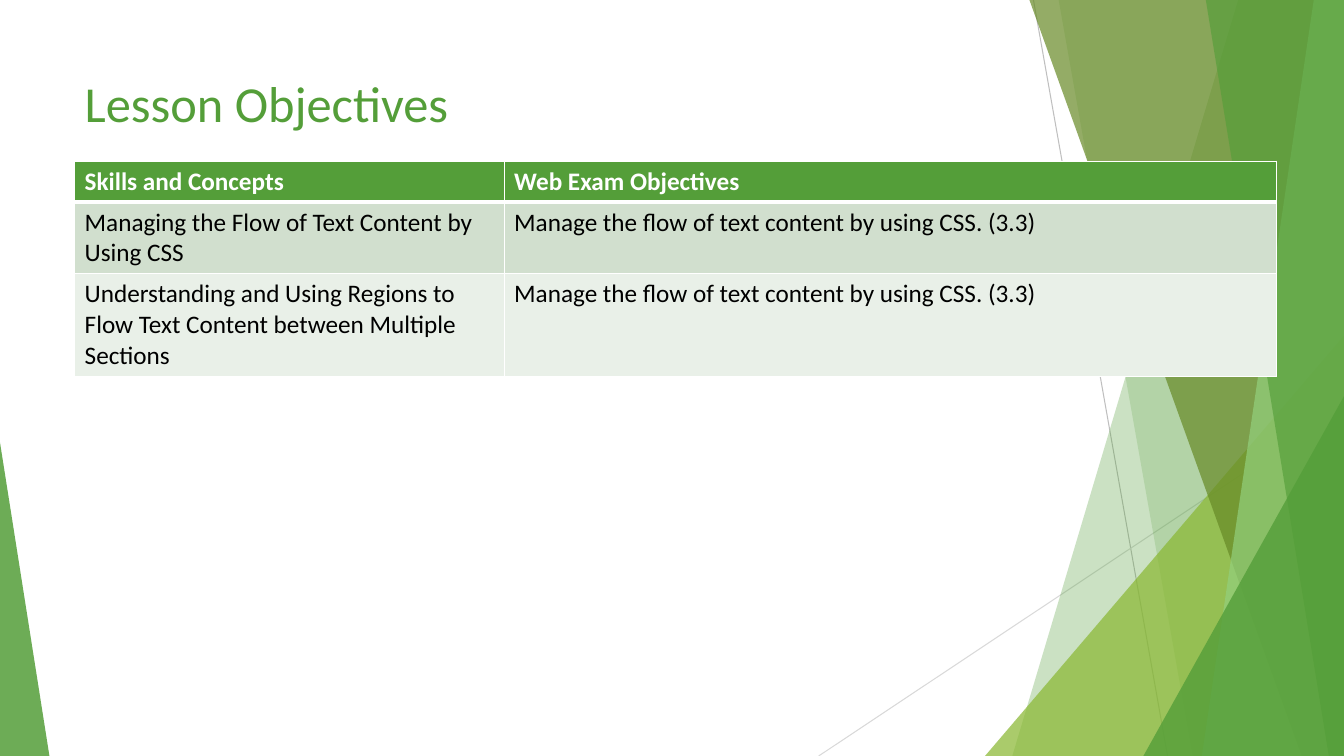
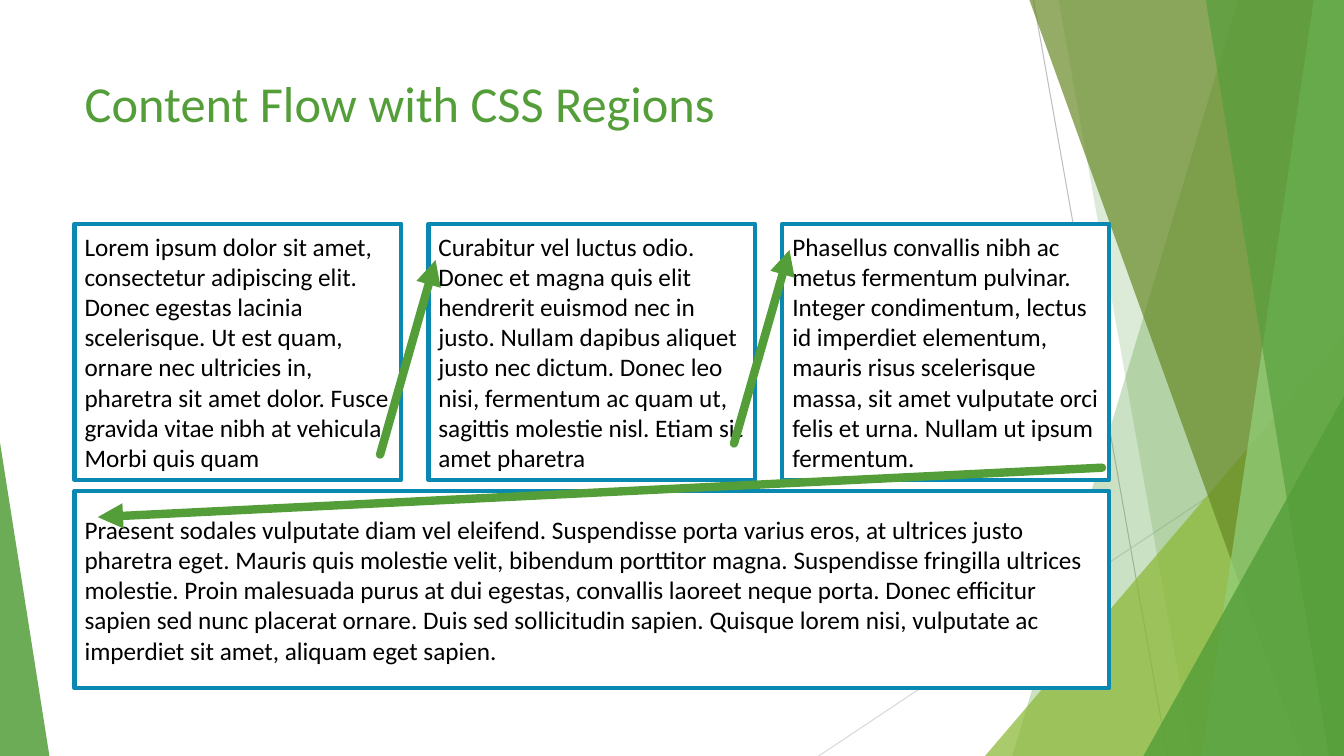
from dataclasses import dataclass

from lxml.etree import SubElement
from pptx import Presentation
from pptx.dml.color import RGBColor
from pptx.enum.shapes import MSO_CONNECTOR, MSO_SHAPE
from pptx.enum.text import MSO_ANCHOR, PP_ALIGN
from pptx.oxml import parse_xml
from pptx.oxml.ns import nsdecls, qn
from pptx.util import Inches, Pt


@dataclass(frozen=True)
class Theme:
    """Colours, type sizes and shared measures of the presentation."""

    font: str = "Calibri"
    title_size: int = 36
    body_size: int = 18
    green: str = "549E39"
    lime: str = "8AB833"
    olive: str = "678A26"
    light_green: str = "93D07D"
    blue: str = "0989B1"
    white: str = "FFFFFF"
    black: str = "000000"
    row_tints: tuple = ("D1DFCE", "E9F0E8")
    hairlines: tuple = ("BFBFBF", "D9D9D9")
    width: float = 13.33
    height: float = 7.5
    left: float = 0.74


THEME = Theme()

OBJECTIVES = [
    ("Skills and Concepts", "Web Exam Objectives"),
    ("Managing the Flow of Text Content by Using CSS",
     "Manage the flow of text content by using CSS. (3.3)"),
    ("Understanding and Using Regions to Flow Text Content between Multiple Sections",
     "Manage the flow of text content by using CSS. (3.3)"),
]

COLUMN_TEXTS = [
    "Lorem ipsum dolor sit amet, consectetur adipiscing elit. Donec egestas lacinia "
    "scelerisque. Ut est quam, ornare nec ultricies in, pharetra sit amet dolor. Fusce "
    "gravida vitae nibh at vehicula. Morbi quis quam",
    "Curabitur vel luctus odio. Donec et magna quis elit hendrerit euismod nec in justo. "
    "Nullam dapibus aliquet justo nec dictum. Donec leo nisi, fermentum ac quam ut, "
    "sagittis molestie nisl. Etiam sit amet pharetra",
    "Phasellus convallis nibh ac metus fermentum pulvinar. Integer condimentum, lectus id "
    "imperdiet elementum, mauris risus scelerisque massa, sit amet vputate orci felis et "
    "urna. Nullam ut ipsum fermentum.".replace("vputate", "vulputate"),
]

WIDE_TEXT = (
    "Praesent sodales vulputate diam vel eleifend. Suspendisse porta varius eros, at "
    "ultrices justo pharetra eget. Mauris quis molestie velit, bibendum porttitor magna. "
    "Suspendisse fringilla ultrices molestie. Proin malesuada purus at dui egestas, "
    "convallis laoreet neque porta. Donec efficitur sapien sed nunc placerat ornare. Duis "
    "sed sollicitudin sapien. Quisque lorem nisi, vulputate ac imperdiet sit amet, aliquam "
    "eget sapien."
)


def color(value):
    """Turn a hex string into a colour."""
    return RGBColor.from_string(value)


def write(text_frame, text, size, text_color, bold=False):
    """Write one left-aligned run into a text frame."""
    text_frame.word_wrap = True
    paragraph = text_frame.paragraphs[0]
    paragraph.alignment = PP_ALIGN.LEFT
    run = paragraph.add_run()
    run.text = text
    run.font.name = THEME.font
    run.font.size = Pt(size)
    run.font.bold = bold
    run.font.color.rgb = color(text_color)


def fill_translucent(shape, fill_color, opacity):
    """Fill a shape at an opacity in percent, without outline or shadow."""
    shape.shadow.inherit = False
    shape.line.fill.background()
    shape.fill.solid()
    shape.fill.fore_color.rgb = color(fill_color)
    fill = shape.element.spPr.find(qn("a:solidFill"))
    SubElement(fill[0], qn("a:alpha"), val=str(opacity * 1000))


def add_line(shapes, start, end, line_color, weight):
    """Add a straight line without shadow."""
    points = [Inches(value) for value in (*start, *end)]
    line = shapes.add_connector(MSO_CONNECTOR.STRAIGHT, *points)
    line.line.color.rgb = color(line_color)
    line.line.width = Pt(weight)
    SubElement(line.element.spPr, qn("a:effectLst"))
    return line


def add_arrow(shapes, start, end):
    """Add a thick green arrow with a round cap."""
    arrow = add_line(shapes, start, end, THEME.green, 6)
    outline = arrow.element.spPr.get_or_add_ln()
    outline.set("cap", "rnd")
    SubElement(outline, qn("a:tailEnd"), type="triangle")


def add_band(shapes, top_x, bottom_x, fill_color, opacity):
    """Add a full-height band from a slanted left edge to the slide's right edge."""
    right, bottom = Inches(THEME.width), Inches(THEME.height)
    builder = shapes.build_freeform(Inches(top_x), 0)
    builder.add_line_segments([(right, 0), (right, bottom), (Inches(bottom_x), bottom)])
    fill_translucent(builder.convert_to_shape(), fill_color, opacity)


def add_corner(shapes, left, top, width, peak, fill_color, opacity):
    """Add a right triangle that stands on the slide's bottom edge."""
    corner = shapes.add_shape(
        MSO_SHAPE.ISOSCELES_TRIANGLE,
        Inches(left), Inches(top), Inches(width), Inches(THEME.height - top))
    corner.adjustments[0] = peak
    fill_translucent(corner, fill_color, opacity)


def decorate_layout(layout, slide):
    """Draw the facets as a group and hand it to the layout the slides share."""
    group = slide.shapes.add_group_shape()
    shapes = group.shapes
    add_line(shapes, (10.25, 0), (11.58, THEME.height), THEME.hairlines[0], 0.75)
    add_line(shapes, (THEME.width, 4.03), (8.12, THEME.height), THEME.hairlines[1], 0.75)
    add_band(shapes, 12.28, 10.04, THEME.green, 30)
    add_band(shapes, 10.5, 11.83, THEME.green, 20)
    add_corner(shapes, 9.77, 3.33, 3.56, 1, THEME.lime, 72)
    add_band(shapes, 10.21, 12.91, THEME.olive, 70)
    add_band(shapes, 13.03, 11.92, THEME.light_green, 70)
    add_band(shapes, 11.96, 13.18, THEME.green, 65)
    add_corner(shapes, 11.34, 3.93, 1.99, 1, THEME.green, 80)
    add_corner(shapes, 0, 4.39, 0.49, 0, THEME.green, 85)
    layout.shapes.element.insert(2, group.element)


def add_titled_slide(presentation, layout, title_text):
    """Add a slide and format its title."""
    slide = presentation.slides.add_slide(layout)
    title = slide.shapes.title
    title.left, title.top = Inches(THEME.left), Inches(0.67)
    title.width, title.height = Inches(9.4), Inches(1.44)
    title.text_frame.vertical_anchor = MSO_ANCHOR.TOP
    write(title.text_frame, title_text, THEME.title_size, THEME.green)
    return slide


def set_borders(cell, top, bottom):
    """Give a cell white borders with the given top and bottom weights."""
    properties = cell._tc.get_or_add_tcPr()
    weights = {"lnL": 1, "lnR": 1, "lnT": top, "lnB": bottom}
    for position, (side, weight) in enumerate(weights.items()):
        properties.insert(position, parse_xml(
            f'<a:{side} {nsdecls("a")} w="{Pt(weight)}"><a:solidFill>'
            f'<a:srgbClr val="{THEME.white}"/></a:solidFill></a:{side}>'))


def add_objectives_table(slide, rows):
    """Add the table with a green header and tinted body rows."""
    column_widths, row_heights = (4.26, 7.66), (0.4, 0.71, 1.02)
    table = slide.shapes.add_table(
        len(rows), len(column_widths), Inches(THEME.left), Inches(1.6),
        Inches(sum(column_widths)), Inches(sum(row_heights))).table
    for column, width in zip(table.columns, column_widths):
        column.width = Inches(width)
    for row_index, texts in enumerate(rows):
        table.rows[row_index].height = Inches(row_heights[row_index])
        header = row_index == 0
        fill_color = THEME.green if header else THEME.row_tints[(row_index - 1) % 2]
        text_color = THEME.white if header else THEME.black
        for column_index, text in enumerate(texts):
            cell = table.cell(row_index, column_index)
            cell.fill.solid()
            cell.fill.fore_color.rgb = color(fill_color)
            set_borders(cell, 3 if row_index == 1 else 1, 3 if header else 1)
            write(cell.text_frame, text, THEME.body_size, text_color, header)


def add_region(slide, left, top, width, height, text):
    """Add a white region with a blue outline and its text."""
    region = slide.shapes.add_shape(
        MSO_SHAPE.RECTANGLE, Inches(left), Inches(top), Inches(width), Inches(height))
    region.shadow.inherit = False
    region.fill.solid()
    region.fill.fore_color.rgb = color(THEME.white)
    region.line.color.rgb = color(THEME.blue)
    region.line.width = Pt(3)
    region.text_frame.vertical_anchor = MSO_ANCHOR.MIDDLE
    write(region.text_frame, text, THEME.body_size, THEME.black)


def add_regions(slide):
    """Add three column regions, the wide region below and the flow arrows."""
    column_width, gap = 3.24, 0.27
    for index, text in enumerate(COLUMN_TEXTS):
        left = THEME.left + index * (column_width + gap)
        add_region(slide, left, 2.22, column_width, 2.54, text)
    add_region(slide, THEME.left, 4.87, 3 * column_width + 2 * gap, 1.96, WIDE_TEXT)
    add_arrow(slide.shapes, (3.77, 4.51), (4.32, 2.58))
    add_arrow(slide.shapes, (7.28, 4.4), (7.83, 2.48))
    add_arrow(slide.shapes, (10.93, 4.64), (0.97, 5.13))


def main():
    """Build and save the presentation."""
    presentation = Presentation()
    presentation.slide_width = Inches(THEME.width)
    presentation.slide_height = Inches(THEME.height)
    layout = presentation.slide_layouts[5]
    objectives = add_titled_slide(presentation, layout, "Lesson Objectives")
    decorate_layout(layout, objectives)
    add_objectives_table(objectives, OBJECTIVES)
    add_regions(add_titled_slide(presentation, layout, "Content Flow with CSS Regions"))
    presentation.save("out.pptx")


if __name__ == "__main__":
    main()
